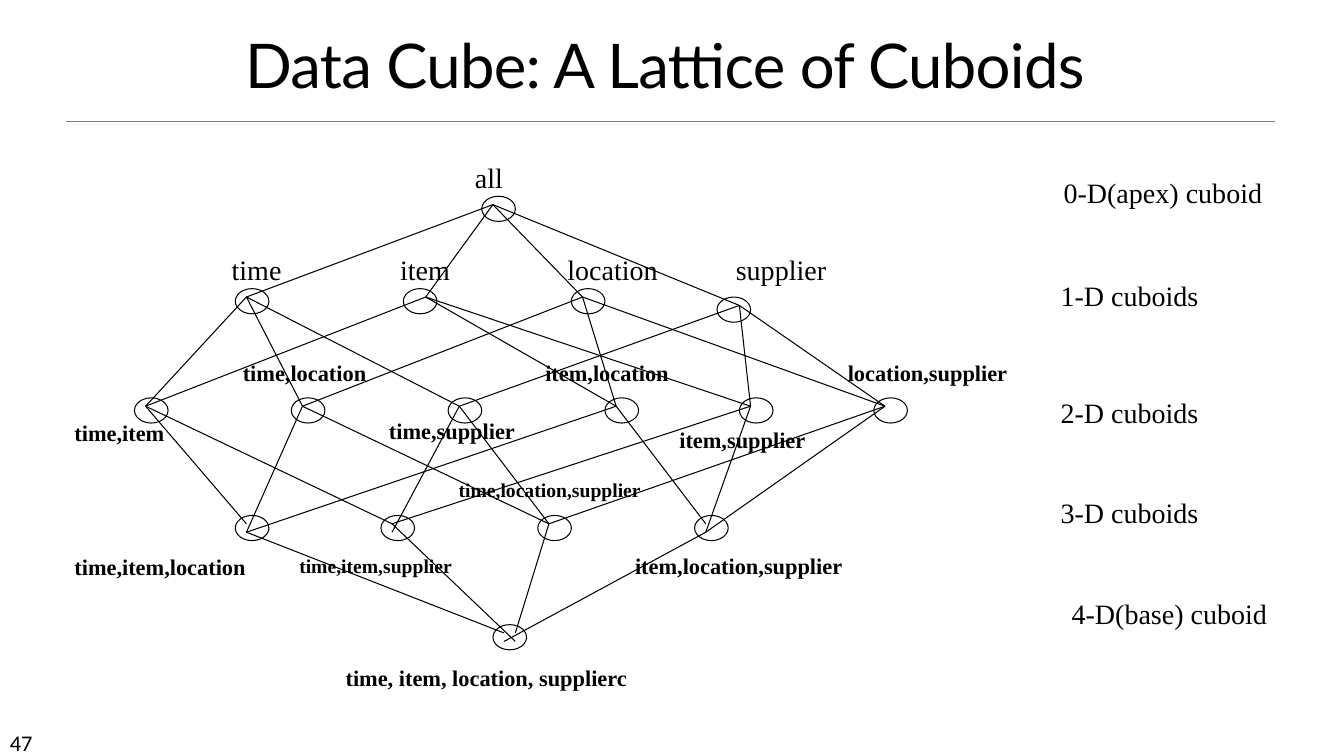
from pptx import Presentation
from pptx.dml.color import RGBColor
from pptx.enum.shapes import MSO_CONNECTOR, MSO_SHAPE
from pptx.enum.text import MSO_ANCHOR, MSO_AUTO_SIZE, PP_ALIGN
from pptx.util import Inches, Pt
from lxml import etree

BLACK = RGBColor(0, 0, 0)
WHITE = RGBColor(255, 255, 255)
GRAY = RGBColor(128, 128, 128)
LINE = MSO_CONNECTOR.STRAIGHT
NODE = MSO_SHAPE.FLOWCHART_CONNECTOR
FIT = MSO_AUTO_SIZE.SHAPE_TO_FIT_TEXT
NO_FIT = MSO_AUTO_SIZE.NONE
LEFT, CENTER = PP_ALIGN.LEFT, PP_ALIGN.CENTER
BOTTOM = MSO_ANCHOR.BOTTOM
SERIF = "Times New Roman"
DRAW = "http://schemas.openxmlformats.org/drawingml/2006/main"

TITLE = "Data Cube: A Lattice of Cuboids"
PAGE = "47"

# Each key lists the initials of its dimensions; places are grid columns and rows.
NODES = {
    "": (43, 23),
    "t": (21, 34), "i": (36, 34), "l": (51, 34), "s": (64, 35),
    "ti": (12, 47), "tl": (26, 47), "ts": (40, 47),
    "il": (54, 47), "is": (66, 47), "ls": (78, 47),
    "til": (21, 61), "tis": (34, 61), "tls": (48, 61), "ils": (62, 61),
    "tils": (44, 74),
}
RIGHT = {"i", "s"}
LOW = {"til", "ils"}
RIGHT_ENDS = {("tis", "tils"), ("tls", "tils")}
LOW_ENDS = {
    ("tl", "til"), ("il", "til"), ("ts", "tis"), ("is", "ils"),
    ("ls", "ils"), ("tis", "tils"), ("ils", "tils"),
}

HEIGHTS = {20: 0.44, 16: 0.37, 14: 0.34}
LABELS = {
    (20, False): [
        ("all", 4.61, 1.54, 0.48),
        ("time", 2.2, 2.46, 0.7),
        ("item", 3.87, 2.46, 0.7),
        ("location", 5.53, 2.46, 1.1),
        ("supplier", 7.2, 2.46, 1.1),
        ("0-D(apex) cuboid", 10.45, 1.69, 2.19),
        ("1-D cuboids", 10.42, 2.71, 1.58),
        ("2-D cuboids", 10.42, 3.87, 1.58),
        ("3-D cuboids", 10.42, 4.87, 1.58),
        ("4-D(base) cuboid", 10.53, 5.87, 2.16),
    ],
    (16, True): [
        ("time,item", 0.64, 4.11, 1.11),
        ("time,location", 2.31, 3.51, 1.45),
        ("time,supplier", 3.76, 4.09, 1.47),
        ("item,location", 5.31, 3.51, 1.45),
        ("item,supplier", 6.64, 4.18, 1.47),
        ("location,supplier", 8.31, 3.51, 1.81),
        ("time,item,location", 0.64, 5.44, 1.93),
        ("item,location,supplier", 6.2, 5.43, 2.29),
        ("time, item, location, supplierc", 3.33, 6.54, 3.04),
    ],
    (14, True): [
        ("time,item,supplier", 2.87, 5.45, 1.73),
        ("time,location,supplier", 4.45, 4.69, 2.02),
    ],
}

deck = Presentation()
deck.slide_width, deck.slide_height = Inches(13.33), Inches(7.5)
slide = deck.slides.add_slide(deck.slide_layouts[5])
shapes = slide.shapes


def place(col, row):
    return Inches(col / 9), Inches(row / 12 + 0.03)


def style(para, size, face, bold=False):
    font = para.runs[0].font
    font.size, font.name, font.bold = Pt(size), face, bold
    font.color.rgb = BLACK


def write(text, left, top, width, height, size, face, bold=False):
    box = shapes.add_textbox(*map(Inches, (left, top, width, height)))
    frame = box.text_frame
    frame.text = text
    frame.word_wrap = False
    frame.auto_size = FIT
    frame.paragraphs[0].alignment = CENTER if text == "all" else LEFT
    style(frame.paragraphs[0], size, face, bold)


def join(start, end, color, weight):
    line = shapes.add_connector(LINE, *start, *end)
    line.line.color.rgb = color
    line.line.width = Pt(weight)
    etree.SubElement(line._element.spPr, f"{{{DRAW}}}effectLst")


title = shapes.title
title.left, title.top, title.width, title.height = map(Inches, (0.38, 0.31, 12.43, 0.74))
frame = title.text_frame
frame.text = TITLE
frame.word_wrap = True
frame.auto_size = NO_FIT
frame.vertical_anchor = BOTTOM
head = frame.paragraphs[0]
head.alignment = CENTER
head.line_spacing = 0.85
style(head, 44, "Lato")
head.runs[0].font._element.set("spc", "-50")

join((Inches(0.65), Inches(1.2)), (Inches(12.65), Inches(1.2)), GRAY, 0.5)
write(PAGE, 0, 7.18, 1.17, 0.3, 16, "Calibri")

for col, row in NODES.values():
    node = shapes.add_shape(NODE, *place(col, row), Inches(3 / 9), Inches(3 / 12))
    node.shadow.inherit = False
    node.fill.solid()
    node.fill.fore_color.rgb = WHITE
    node.line.color.rgb = BLACK
    node.line.width = Pt(0.75)

for low, (col, row) in NODES.items():
    start = place(col + 1 + (low in RIGHT), row + 1 + (low in LOW))
    for high, (x, y) in NODES.items():
        if len(high) == len(low) + 1 and set(low) < set(high):
            edge = low, high
            right = high in RIGHT or edge in RIGHT_ENDS
            end = place(x + 1 + right, y + 1 + (edge in LOW_ENDS))
            join(start, end, BLACK, 0.75)

for (size, bold), group in LABELS.items():
    for text, left, top, width in group:
        write(text, left, top, width, HEIGHTS[size], size, SERIF, bold)

deck.save("out.pptx")
